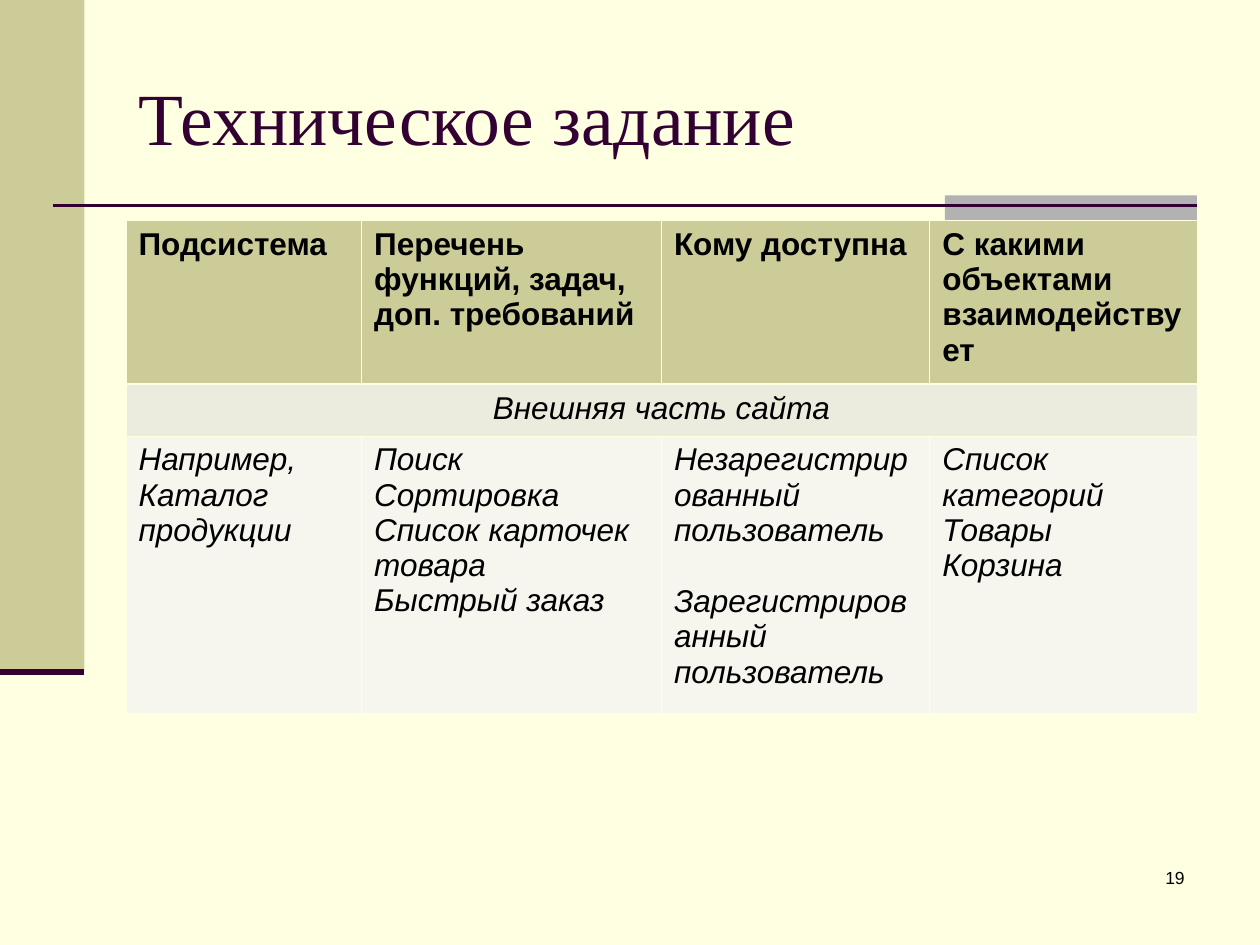
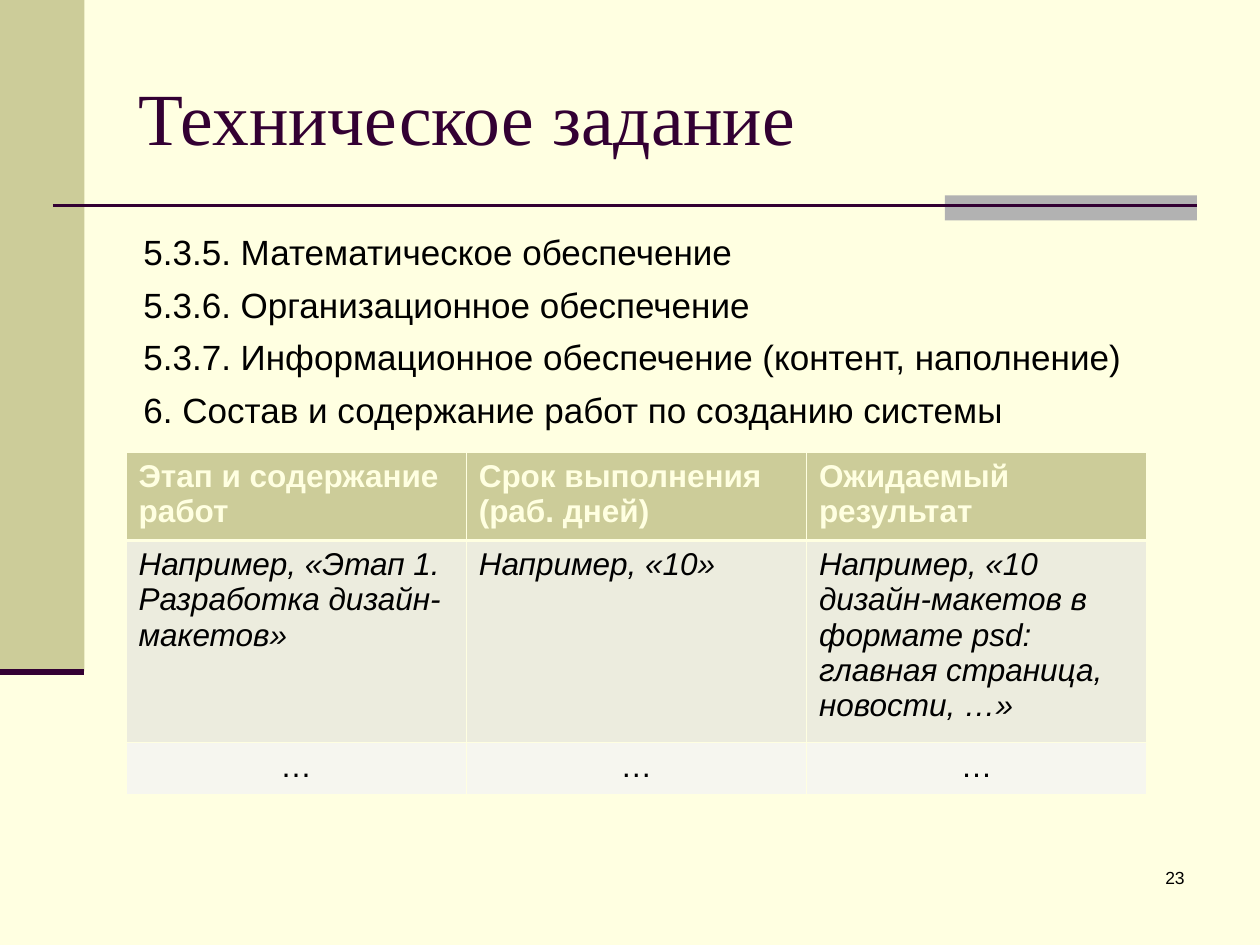
import pptx
import pptx.dml.color
import pptx.enum.shapes
import pptx.enum.text
import pptx.oxml
import pptx.oxml.ns
import pptx.util

Inches = pptx.util.Inches
Pt = pptx.util.Pt
RGBColor = pptx.dml.color.RGBColor
ALIGN = pptx.enum.text.PP_ALIGN
ANCHOR = pptx.enum.text.MSO_ANCHOR

CREAM = RGBColor(0xFF, 0xFF, 0xE1)
OLIVE = RGBColor(0xCC, 0xCC, 0x99)
LIGHT_OLIVE = RGBColor(0xEC, 0xEC, 0xDE)
PALE_OLIVE = RGBColor(0xF6, 0xF6, 0xEF)
GRAY = RGBColor(0xB2, 0xB2, 0xB2)
PLUM = RGBColor(0x33, 0x00, 0x33)
BLACK = RGBColor(0x00, 0x00, 0x00)

TITLE = "Техническое задание"
TITLE_FONT = {"name": "Times New Roman", "size": Pt(42)}
BODY_FONT = {"name": "Arial", "size": Pt(20)}
NUMBER_FONT = {"name": "Arial", "size": Pt(10)}
HEADER_FONT = {"name": "Arial", "size": Pt(18), "bold": True, "italic": False}
EXAMPLE_FONT = {"name": "Arial", "size": Pt(18), "bold": False, "italic": True}
PLAIN_FONT = {**EXAMPLE_FONT, "italic": False}
THIN_BORDER = 0.45
HEADER_BORDER = 1.47


def apply_format(target, values):
    for name, value in values.items():
        setattr(target, name, value)


def write_text(text_frame, lines, font, color, layout):
    text_frame.text = "\n".join(lines)
    for paragraph in text_frame.paragraphs:
        apply_format(paragraph, layout)
        apply_format(paragraph.font, font)
        paragraph.font.color.rgb = color


def add_band(slide, box, color):
    shape = slide.shapes.add_shape(
        pptx.enum.shapes.MSO_SHAPE.RECTANGLE, *map(Inches, box))
    shape.shadow.inherit = False
    shape.fill.solid()
    shape.fill.fore_color.rgb = color
    shape.line.fill.background()


def add_rule(slide, left, right, top, width):
    connector = slide.shapes.add_connector(
        pptx.enum.shapes.MSO_CONNECTOR.STRAIGHT,
        Inches(left), Inches(top), Inches(right), Inches(top))
    connector.line.color.rgb = PLUM
    connector.line.width = Pt(width)
    connector._element.spPr.append(pptx.oxml.parse_xml(
        f'<a:effectLst {pptx.oxml.ns.nsdecls("a")}/>'))


def add_text(slide, box, lines, font, layout):
    text_frame = slide.shapes.add_textbox(*map(Inches, box)).text_frame
    text_frame.word_wrap = True
    write_text(text_frame, lines, font, BLACK, layout)


def add_decor(slide):
    add_band(slide, (0, 0, 0.67, 5.33), OLIVE)
    add_band(slide, (7.5, 1.55, 2, 0.2), GRAY)
    add_rule(slide, 0.42, 9.5, 1.63, 1.5)
    add_rule(slide, 0, 0.67, 5.33, 3.5)


def place_title(title, box):
    apply_format(title, dict(zip(("left", "top", "width", "height"), map(Inches, box))))
    title.text_frame.vertical_anchor = ANCHOR.MIDDLE
    write_text(title.text_frame, [TITLE], TITLE_FONT, PLUM, {"alignment": ALIGN.LEFT})


def add_titled_slide(presentation, number):
    slide = presentation.slides.add_slide(presentation.slide_layouts[5])
    place_title(slide.shapes.title, (1, 0.3, 8.5, 1.25))
    add_decor(slide)
    add_text(slide, (7.42, 6.83, 2.08, 0.5), [str(number)], NUMBER_FONT,
             {"alignment": ALIGN.RIGHT})
    return slide


def set_borders(cell, row_index):
    properties = cell._tc.get_or_add_tcPr()
    widths = {"L": THIN_BORDER, "R": THIN_BORDER,
              "T": HEADER_BORDER if row_index == 1 else THIN_BORDER,
              "B": HEADER_BORDER if row_index == 0 else THIN_BORDER}
    for side, width in widths.items():
        properties.append(pptx.oxml.parse_xml(
            f'<a:ln{side} {pptx.oxml.ns.nsdecls("a")} w="{Pt(width)}">'
            f'<a:solidFill><a:srgbClr val="{CREAM}"/></a:solidFill></a:ln{side}>'))


def add_grid(slide, left, top, column_widths, row_heights, rows, styles):
    table = slide.shapes.add_table(
        len(row_heights), len(column_widths), Inches(left), Inches(top),
        Inches(sum(column_widths)), Inches(sum(row_heights))).table
    for column, width in zip(table.columns, column_widths):
        column.width = Inches(width)
    fills = (OLIVE, LIGHT_OLIVE, PALE_OLIVE)
    for row_index, (row, height) in enumerate(zip(table.rows, row_heights)):
        row.height = Inches(height)
        for cell in row.cells:
            set_borders(cell, row_index)
            cell.fill.solid()
            cell.fill.fore_color.rgb = fills[row_index]
        for cell, lines in zip(row.cells, rows[row_index]):
            font, color, alignment = styles[row_index]
            write_text(cell.text_frame, lines, font, color, {"alignment": alignment})
    return table


def build_subsystems_slide(presentation):
    slide = add_titled_slide(presentation, 19)
    rows = [
        [["Подсистема"], ["Перечень функций, задач, доп. требований"],
         ["Кому доступна"], ["С какими объектами взаимодействует"]],
        [["Внешняя часть сайта"]],
        [["Например, Каталог продукции"],
         ["Поиск", "Сортировка", "Список карточек товара", "Быстрый заказ"],
         ["Незарегистрированный", "пользователь", "Зарегистрированный пользователь"],
         ["Список категорий", "Товары", "Корзина"]],
    ]
    styles = [(HEADER_FONT, BLACK, ALIGN.LEFT),
              (EXAMPLE_FONT, BLACK, ALIGN.CENTER),
              (EXAMPLE_FONT, BLACK, ALIGN.LEFT)]
    table = add_grid(slide, 1, 1.75, (1.87, 2.38, 2.13, 2.12), (1.3, 0.41, 2.2),
                     rows, styles)
    table.cell(1, 0).merge(table.cell(1, 3))
    registered_user = table.cell(2, 2).text_frame.paragraphs[-1]
    registered_user.space_before = Pt(20.5)


def build_stages_slide(presentation):
    slide = add_titled_slide(presentation, 23)
    add_text(slide, (1.04, 1.78, 8.5, 1.75), [
        "5.3.5. Математическое обеспечение",
        "5.3.6. Организационное обеспечение",
        "5.3.7. Информационное обеспечение (контент, наполнение)",
        "6. Состав и содержание работ по созданию системы",
    ], BODY_FONT, {"space_before": Pt(6)})
    rows = [
        [["Этап и содержание работ"], ["Срок выполнения", "(раб. дней)"],
         ["Ожидаемый результат"]],
        [["Например, «Этап 1. Разработка дизайн-макетов»"], ["Например, «10»"],
         ["Например, «10 дизайн-макетов в формате psd: главная страница, новости, …»"]],
        [["…"]] * 3,
    ]
    styles = [(HEADER_FONT, CREAM, ALIGN.LEFT),
              (EXAMPLE_FONT, BLACK, ALIGN.LEFT),
              (PLAIN_FONT, BLACK, ALIGN.CENTER)]
    add_grid(slide, 1, 3.59, (2.7,) * 3, (0.7, 1.6, 0.41), rows, styles)


def main():
    presentation = pptx.Presentation()
    presentation.slide_width = Inches(10)
    presentation.slide_height = Inches(7.5)
    background = presentation.slide_master.background.fill
    background.solid()
    background.fore_color.rgb = CREAM
    build_subsystems_slide(presentation)
    build_stages_slide(presentation)
    presentation.save("out.pptx")


if __name__ == "__main__":
    main()
